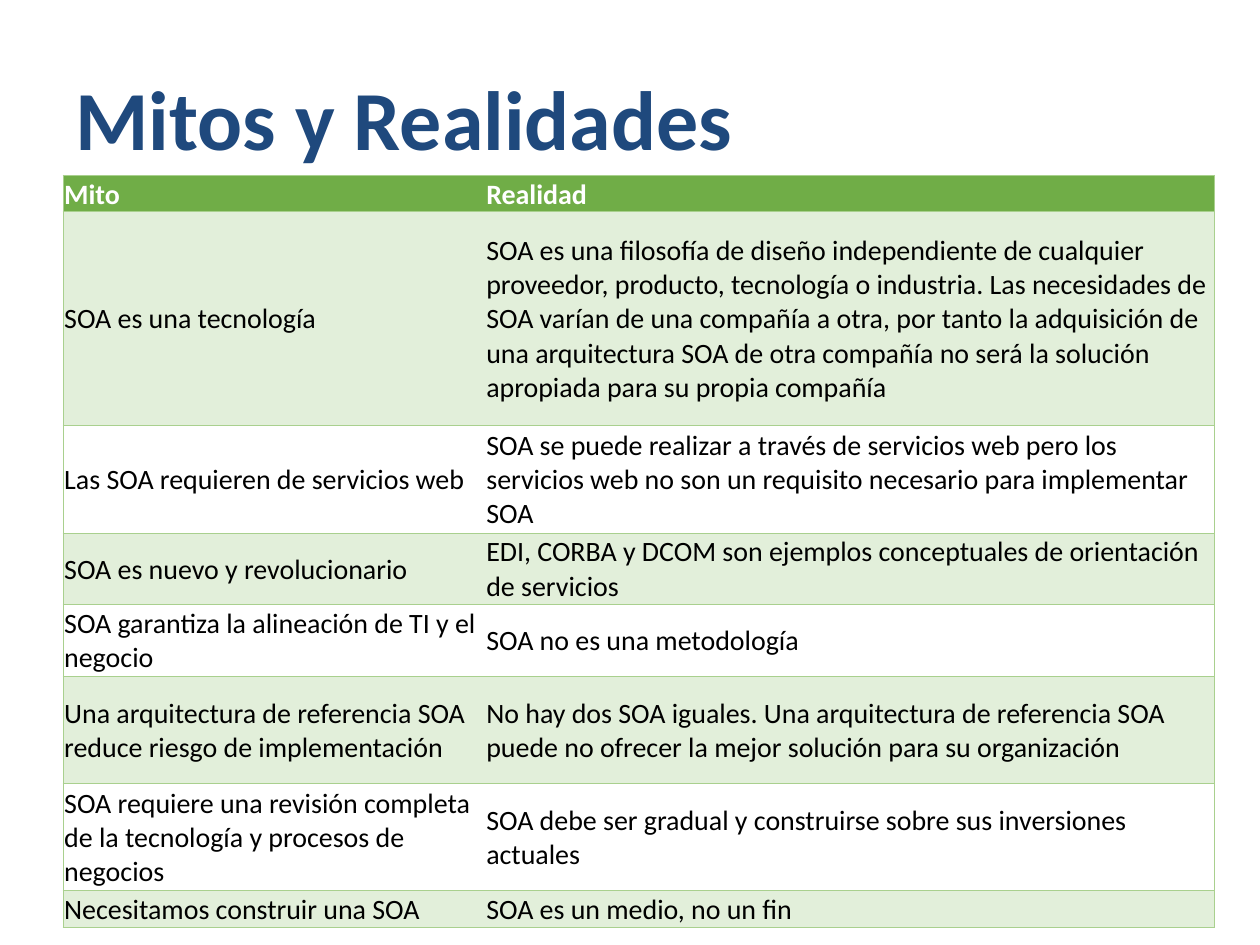
from lxml import etree
from pptx import Presentation
from pptx.dml.color import RGBColor
from pptx.enum.text import MSO_ANCHOR
from pptx.oxml.ns import qn
from pptx.util import Inches, Pt

MIDDLE, BOTTOM = MSO_ANCHOR.MIDDLE, MSO_ANCHOR.BOTTOM
NAVY = RGBColor(0x1F, 0x49, 0x7D)
GREEN = RGBColor(0x70, 0xAD, 0x47)
PALE_GREEN = RGBColor(0xE2, 0xEF, 0xDA)
BORDER_GREEN = RGBColor(0xA9, 0xD0, 0x8E)
WHITE = RGBColor(0xFF, 0xFF, 0xFF)
BLACK = RGBColor(0x00, 0x00, 0x00)

MYTHS = [
    ("Mito", "Realidad", 0.29),
    ("SOA es una tecnología",
     "SOA es una filosofía de diseño independiente de cualquier proveedor, "
     "producto, tecnología o industria. Las necesidades de SOA varían de una "
     "compañía a otra, por tanto la adquisición de una arquitectura SOA de otra "
     "compañía no será la solución apropiada para su propia compañía", 1.7),
    ("Las SOA requieren de servicios web",
     "SOA se puede realizar a través de servicios web pero los servicios web no "
     "son un requisito necesario para implementar SOA", 0.85),
    ("SOA es nuevo y revolucionario",
     "EDI, CORBA y DCOM son ejemplos conceptuales de orientación de servicios",
     0.57),
    ("SOA garantiza la alineación de TI y el negocio",
     "SOA no es una metodología", 0.57),
    ("Una arquitectura de referencia SOA reduce riesgo de implementación",
     "No hay dos SOA iguales. Una arquitectura de referencia SOA puede no "
     "ofrecer la mejor solución para su organización", 0.85),
    ("SOA requiere una revisión completa de la tecnología y procesos de negocios",
     "SOA debe ser gradual y construirse sobre sus inversiones actuales", 0.85),
    ("Necesitamos construir una SOA", "SOA es un medio, no un fin", 0.29),
]
COLUMN_WIDTHS = [3.35, 5.79]


def set_font(paragraph, size, color, bold):
    font = paragraph.font
    font.name, font.size, font.bold = "Calibri", Pt(size), bold
    font.color.rgb = color


def set_borders(cell, hidden_side):
    """Draw thin green borders on every side but hidden_side."""
    properties = cell._tc.get_or_add_tcPr()
    for index, side in enumerate(("lnL", "lnR", "lnT", "lnB")):
        line = etree.Element(qn(f"a:{side}"), w=str(Pt(0.5)))
        if side == hidden_side:
            etree.SubElement(line, qn("a:noFill"))
        else:
            solid = etree.SubElement(line, qn("a:solidFill"))
            etree.SubElement(solid, qn("a:srgbClr"), val=str(BORDER_GREEN))
        properties.insert(index, line)


prs = Presentation()
prs.slide_width, prs.slide_height = Inches(10), Inches(7.5)
slide = prs.slides.add_slide(prs.slide_layouts[6])

title = slide.shapes.add_textbox(Inches(0.5), Inches(0.3), Inches(9), Inches(1.25))
title.text_frame.word_wrap = True
title.text_frame.vertical_anchor = MIDDLE
title.text_frame.text = "Mitos y Realidades"
set_font(title.text_frame.paragraphs[0], 48, NAVY, True)

table = slide.shapes.add_table(
    len(MYTHS), len(COLUMN_WIDTHS),
    Inches(0.5), Inches(1.39), Inches(9.14), Inches(5.97)).table
table.first_row = table.horz_banding = False
for column, width in zip(table.columns, COLUMN_WIDTHS):
    column.width = Inches(width)

for row_index, (myth, reality, height) in enumerate(MYTHS):
    is_header = row_index == 0
    table.rows[row_index].height = Inches(height)
    for column_index, text in enumerate((myth, reality)):
        cell = table.cell(row_index, column_index)
        cell.text = text
        cell.vertical_anchor = BOTTOM if is_header else MIDDLE
        cell.margin_left = cell.margin_right = cell.margin_top = Inches(0.01)
        cell.margin_bottom = Inches(0)
        set_font(cell.text_frame.paragraphs[0], 16,
                 WHITE if is_header else BLACK, is_header)
        if is_header or row_index % 2:
            cell.fill.solid()
            cell.fill.fore_color.rgb = GREEN if is_header else PALE_GREEN
        else:
            cell.fill.background()
        set_borders(cell, "lnL" if column_index else "lnR")

prs.save("out.pptx")
